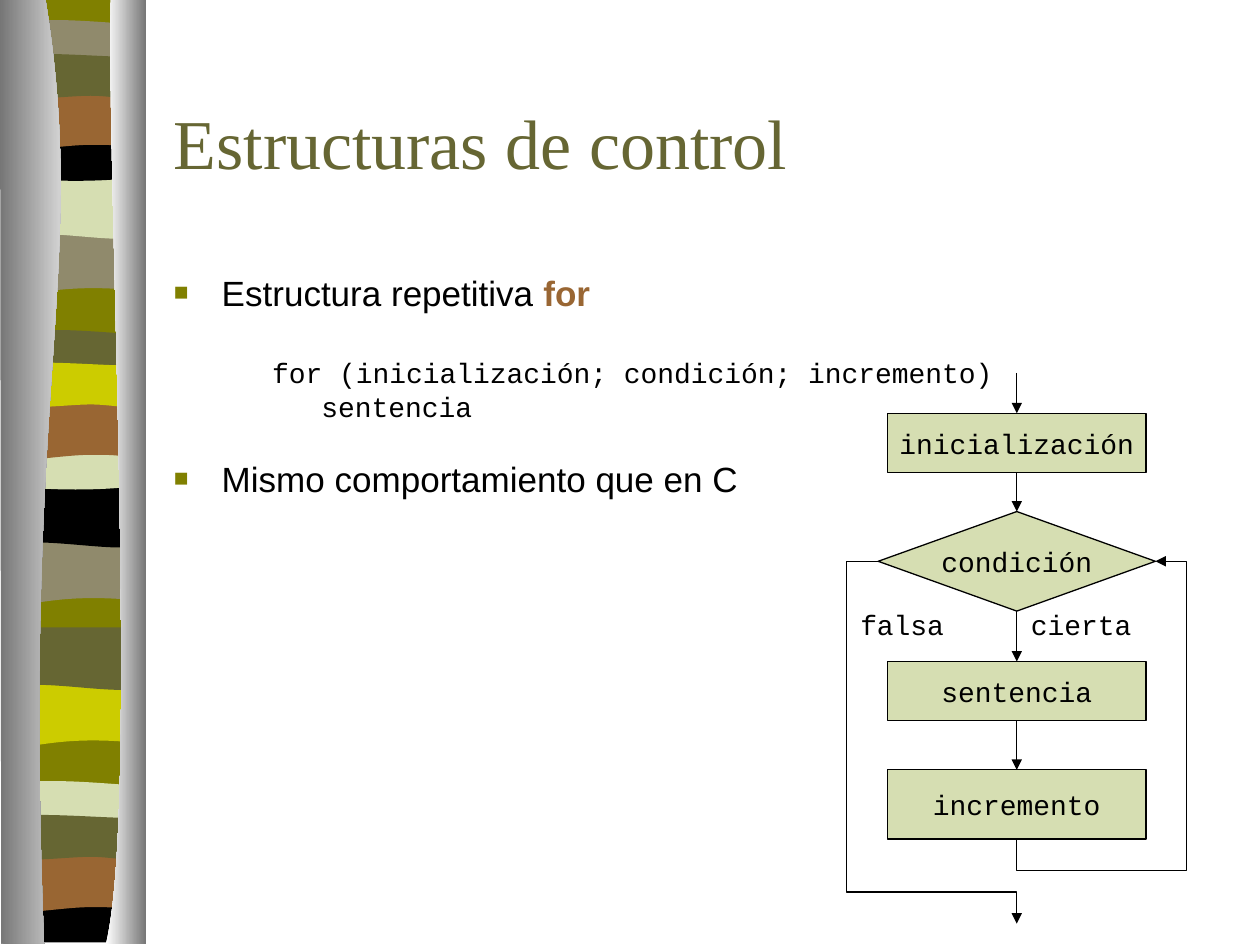
import pptx
import pptx.dml.color
import pptx.enum.shapes
import pptx.enum.text
import pptx.util
from lxml import etree
from pptx.oxml.ns import qn
from pptx.util import Inches

Shape = pptx.enum.shapes.MSO_SHAPE
Connector = pptx.enum.shapes.MSO_CONNECTOR
Align = pptx.enum.text.PP_ALIGN
Anchor = pptx.enum.text.MSO_ANCHOR

OLIVE, MOSS, STONE, SAGE = "808000", "666633", "908A6C", "D6DEB2"
BROWN, LIME, BLACK, WHITE, GREY = "996633", "CCCC00", "000000", "FFFFFF", "767676"

# Outlines: a pair is a straight step, six numbers are a cubic curve.
STRIPES = {
    "wave": [(1.08, 0), (1.08, 0.47), (0.33, 0.39, 0.18, 0.55, 0, 0.47), (0, 0)],
    "swell": [(1.08, 0), (1.08, 0.47), (0.9, 0.55, 0.33, 0.41, 0, 0.47), (0, 0)],
    "lens": [(1.08, 0.05), (1.08, 0.29), (0.9, 0.33, 0.18, 0.33, 0, 0.29), (0, 0.05),
             (0.06, 0, 0.23, 0.01, 0.41, 0.01), (0.59, 0.01, 0.94, 0.04, 1.08, 0.05)],
    "bowl": [(1.08, 0), (1.08, 0.32), (0.9, 0.38, 0.18, 0.38, 0, 0.32), (0, 0),
             (0.66, 0.05, 0.85, 0, 1.08, 0)],
    "base": [(1.08, 0), (1.08, 0.37), (0, 0.37), (0, 0), (0.66, 0.05, 0.85, 0, 1.08, 0)],
    "arch": [(1.08, 0), (1.08, 0.47), (0.91, 0.42, 0.84, 0.42, 0.66, 0.42),
             (0.48, 0.42, 0.16, 0.47, 0, 0.47), (0, 0)],
    "ripple": [(1.08, 0.05), (1.08, 0.36), (1.01, 0.41, 0.84, 0.36, 0.66, 0.36),
               (0.48, 0.36, 0.11, 0.41, 0, 0.36), (0, 0.05),
               (0.15, 0, 0.73, 0.05, 0.91, 0.05), (1.09, 0.05, 1.04, 0.05, 1.08, 0.05)],
}
RIBBON = [
    ("wave", 1.85, STONE), ("swell", 1.41, SAGE), ("lens", 0.16, STONE),
    ("bowl", 1.08, BLACK), ("arch", 0.74, BROWN), ("ripple", 0.41, MOSS),
    ("wave", 4.31, STONE), ("swell", 3.86, BLACK), ("lens", 2.62, MOSS),
    ("bowl", 3.53, SAGE), ("arch", 3.2, BROWN), ("ripple", 2.86, LIME),
    ("wave", 5.44, LIME), ("swell", 4.99, MOSS), ("lens", 6.2, SAGE),
    ("base", 7.12, BLACK), ("arch", 6.79, BROWN), ("ripple", 6.45, MOSS),
]
BACKDROP = [(1.08, 0), (1.08, 7.48), (0, 7.48), (0, 0)]
LEFT_BAND = [(0.36, 0), (0.71, 2.17, 0.17, 2.97, 0.35, 7.5), (0.01, 7.5), (0, 0)]
RIGHT_BAND = [(0.88, 0), (0.84, 1.26, 1.11, 6.47, 0.84, 7.5), (1.16, 7.5), (1.16, 0.01)]


def color(value):
    return pptx.dml.color.RGBColor.from_string(value)


def format_runs(paragraph, size, font, value):
    for run in paragraph.runs:
        run.font.size = pptx.util.Pt(size)
        run.font.name = font
        run.font.color.rgb = color(value)


def add_outline(slide, outline, left, top):
    """Draw through all points, then join each curve's three points into one step."""
    points = [(left + Inches(x), top + Inches(y))
              for step in outline for x, y in zip(step[::2], step[1::2])]
    builder = slide.shapes.build_freeform(*points[0])
    builder.add_line_segments(points[1:], close=True)
    shape = builder.convert_to_shape()
    segments = iter(list(shape._element.iter(qn("a:lnTo"))))
    for step in outline[1:]:
        segment = next(segments)
        if len(step) == 6:
            segment.tag = qn("a:cubicBezTo")
            for extra in (next(segments), next(segments)):
                segment.append(extra[0])
                extra.getparent().remove(extra)
    shape.shadow.inherit = False
    shape.line.fill.background()
    return shape


def add_ribbon(slide, left, top):
    parts = []
    stripes = [(BACKDROP, 0, OLIVE)]
    stripes += [(STRIPES[name], offset, value) for name, offset, value in RIBBON]
    for outline, offset, value in stripes:
        stripe = add_outline(slide, outline, left + Inches(0.06), top + Inches(offset))
        stripe.fill.solid()
        stripe.fill.fore_color.rgb = color(value)
        parts.append(stripe)
    for outline, shades in ((LEFT_BAND, (GREY, WHITE)), (RIGHT_BAND, (WHITE, GREY))):
        band = add_outline(slide, outline, left, top)
        band.fill.gradient()
        band.fill.gradient_angle = 0
        for stop, shade in zip(band.fill.gradient_stops, shades):
            stop.color.rgb = color(shade)
        parts.append(band)
    slide.shapes.add_group_shape(parts)


def place(shape, left, top, width, height):
    shape.left, shape.top, shape.width, shape.height = left, top, width, height


def fill_title(slide, *box):
    title = slide.shapes.title
    place(title, *box)
    title.text_frame.text = "Estructuras de control"
    title.text_frame.vertical_anchor = Anchor.MIDDLE
    paragraph = title.text_frame.paragraphs[0]
    paragraph.alignment = Align.LEFT
    format_runs(paragraph, 40, "Times New Roman", MOSS)


def set_bullet(paragraph, margin, indent, bulleted):
    properties = paragraph._p.get_or_add_pPr()
    properties.set("marL", str(Inches(margin)))
    properties.set("indent", str(Inches(indent)))
    if not bulleted:
        etree.SubElement(properties, qn("a:buNone"))
        return
    bullet_color = etree.SubElement(properties, qn("a:buClr"))
    etree.SubElement(bullet_color, qn("a:srgbClr"), val=OLIVE)
    etree.SubElement(properties, qn("a:buSzPct"), val="70000")
    etree.SubElement(properties, qn("a:buFont"), typeface="Arial")
    etree.SubElement(properties, qn("a:buChar"), char="■")


def fill_body(slide, *box):
    body = slide.placeholders[1]
    place(body, *box)
    frame = body.text_frame
    frame.auto_size = pptx.enum.text.MSO_AUTO_SIZE.NONE
    lines = [  # text, level, margin, indent, space before
        ("Estructura repetitiva ", 0, 0.38, -0.38, 0),
        ("for (inicialización; condición; incremento)", 1, 1.17, -0.39, 28),
        ("sentencia", 1, 1.17, 0, 4),
        ("Mismo comportamiento que en C", 0, 0.38, -0.38, 24),
    ]
    frame.text = "\n".join(line[0] for line in lines)
    for paragraph, (_, level, margin, indent, space) in zip(frame.paragraphs, lines):
        paragraph.level = level
        set_bullet(paragraph, margin, indent, level == 0)
        paragraph.line_spacing = 0.8
        paragraph.space_before = pptx.util.Pt(space)
        size, font = ((20, "Arial"), (16, "Courier New"))[level]
        format_runs(paragraph, size, font, BLACK)
    keyword = frame.paragraphs[0].add_run()
    keyword.text = "for"
    keyword.font.size = pptx.util.Pt(20)
    keyword.font.name = "Arial"
    keyword.font.bold = True
    keyword.font.color.rgb = color(BROWN)


def write_code(shape, text):
    shape.text_frame.text = text
    paragraph = shape.text_frame.paragraphs[0]
    paragraph.alignment = Align.CENTER
    format_runs(paragraph, 16, "Courier New", BLACK)


def add_arrow(slide, kind, start, end, source=None, target=None):
    """Source and target are (shape, connection site) pairs."""
    arrow = slide.shapes.add_connector(kind, *start, *end)
    if source:
        arrow.begin_connect(*source)
    if target:
        arrow.end_connect(*target)
    arrow.line.width = pptx.util.Pt(0.75)
    arrow.line.color.rgb = color(BLACK)
    etree.SubElement(arrow.line._get_or_add_ln(), qn("a:tailEnd"), type="triangle")
    etree.SubElement(arrow._element.spPr, qn("a:effectLst"))
    return arrow


def bend(arrow, box, adjustments, rotation=0):
    """Route an elbow arrow with two turning points outside its ends."""
    properties = arrow._element.spPr
    place(arrow, *box)
    frame = properties.get_or_add_xfrm()
    frame.flipH = frame.flipV = False
    frame.set("rot", str(rotation * 60000))
    geometry = properties.find(qn("a:prstGeom"))
    geometry.set("prst", "bentConnector4")
    guides = geometry.find(qn("a:avLst"))
    for number, value in enumerate(adjustments, 1):
        etree.SubElement(guides, qn("a:gd"), name=f"adj{number}",
                         fmla=f"val {round(value * 100000)}")


def add_flowchart(slide, left, top, height):
    center, gap = left + Inches(1.5), Inches(0.25)
    steps = []
    for text, kind, offset, width, step_height in (
            ("inicialización", Shape.FLOWCHART_PROCESS, 0.32, 2.05, 0.47),
            ("condición", Shape.FLOWCHART_DECISION, 1.1, 2.2, 0.79),
            ("sentencia", Shape.FLOWCHART_PROCESS, 2.29, 2.05, 0.47),
            ("incremento", Shape.FLOWCHART_PROCESS, 3.15, 2.05, 0.55)):
        step = slide.shapes.add_shape(kind, center - Inches(width / 2), top + Inches(offset),
                                      Inches(width), Inches(step_height))
        step.shadow.inherit = False
        step.fill.solid()
        step.fill.fore_color.rgb = color(SAGE)
        step.line.color.rgb = color(BLACK)
        step.line.width = pptx.util.Pt(0.75)
        step.text_frame.word_wrap = False
        step.text_frame.vertical_anchor = Anchor.MIDDLE
        write_code(step, text)
        steps.append(step)
    for text, offset in (("falsa", 0), ("cierta", 1.42)):
        label = slide.shapes.add_textbox(left + Inches(offset), top + Inches(1.81),
                                         Inches(1.18), Inches(0.37))
        label.text_frame.word_wrap = True
        write_code(label, text)

    first, condition, _, last = steps
    add_arrow(slide, Connector.STRAIGHT, (center, top), (center, first.top), target=(first, 0))
    for upper, lower in zip(steps, steps[1:]):
        add_arrow(slide, Connector.STRAIGHT, (center, upper.top + upper.height),
                  (center, lower.top), (upper, 2), (lower, 0))

    middle, half = condition.top + condition.height // 2, condition.width // 2
    bottom, end = last.top + last.height, top + height
    rise, drop = bottom - middle, end - middle
    loop = add_arrow(slide, Connector.ELBOW, (center, bottom), (center + half, middle),
                     (last, 2), (condition, 3))
    bend(loop, (center + (half - rise) // 2, middle + (rise - half) // 2, rise, half),
         (-gap / rise, 1 + gap / half), rotation=270)
    leave = add_arrow(slide, Connector.ELBOW, (condition.left, middle), (center, end),
                      (condition, 1))
    bend(leave, (condition.left, middle, half, drop), (-gap / half, 1 - gap / drop))


def main():
    presentation = pptx.Presentation()
    presentation.slide_width, presentation.slide_height = Inches(10), Inches(7.5)
    slide = presentation.slides.add_slide(presentation.slide_layouts[1])
    add_ribbon(slide, 0, Inches(-0.01))
    fill_title(slide, Inches(1.28), Inches(0.5), Inches(8.5), Inches(1.25))
    fill_body(slide, Inches(1.28), Inches(2.17), Inches(8.5), Inches(1.9))
    add_flowchart(slide, Inches(6.57), Inches(2.96), Inches(4.37))
    presentation.save("out.pptx")


if __name__ == "__main__":
    main()
